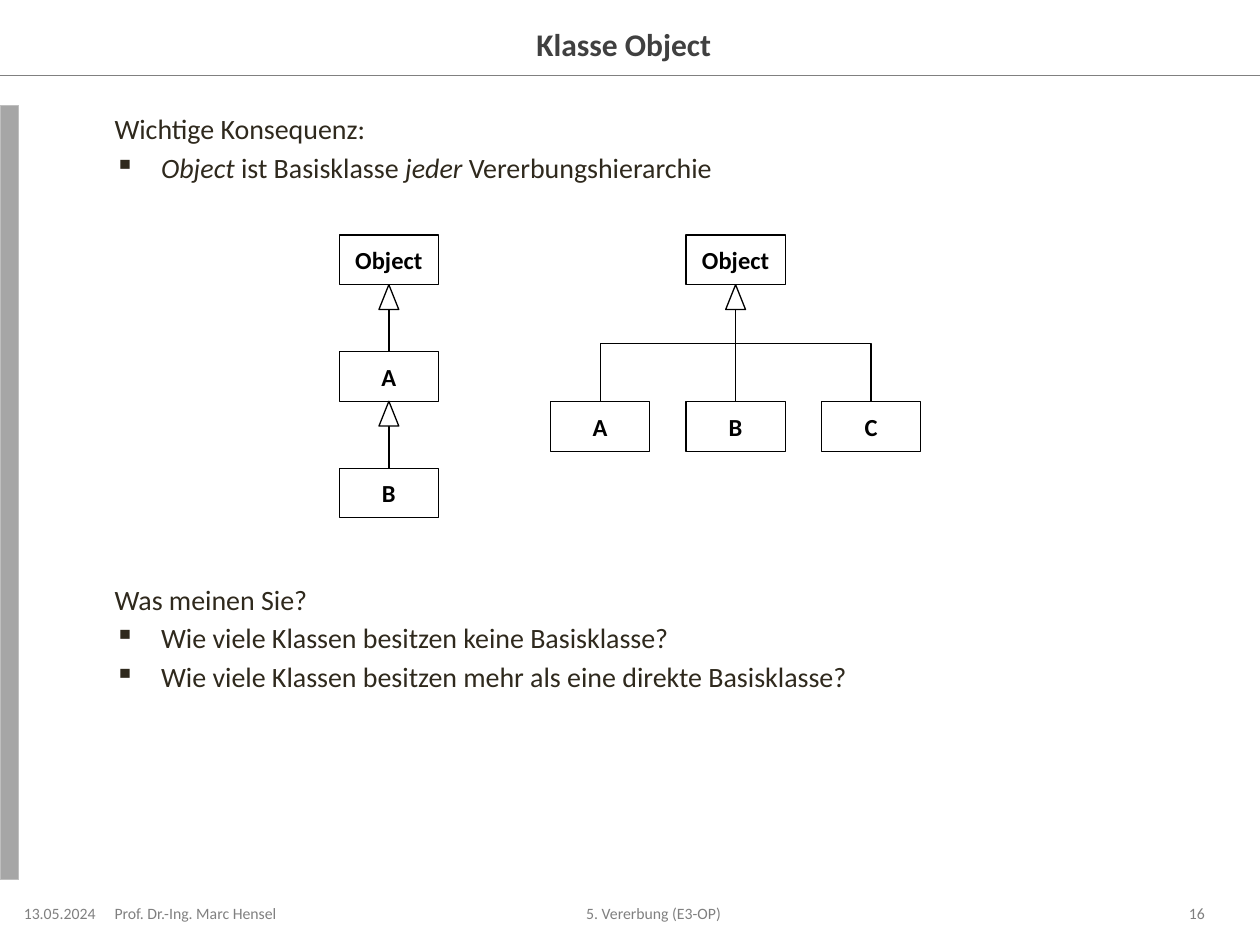
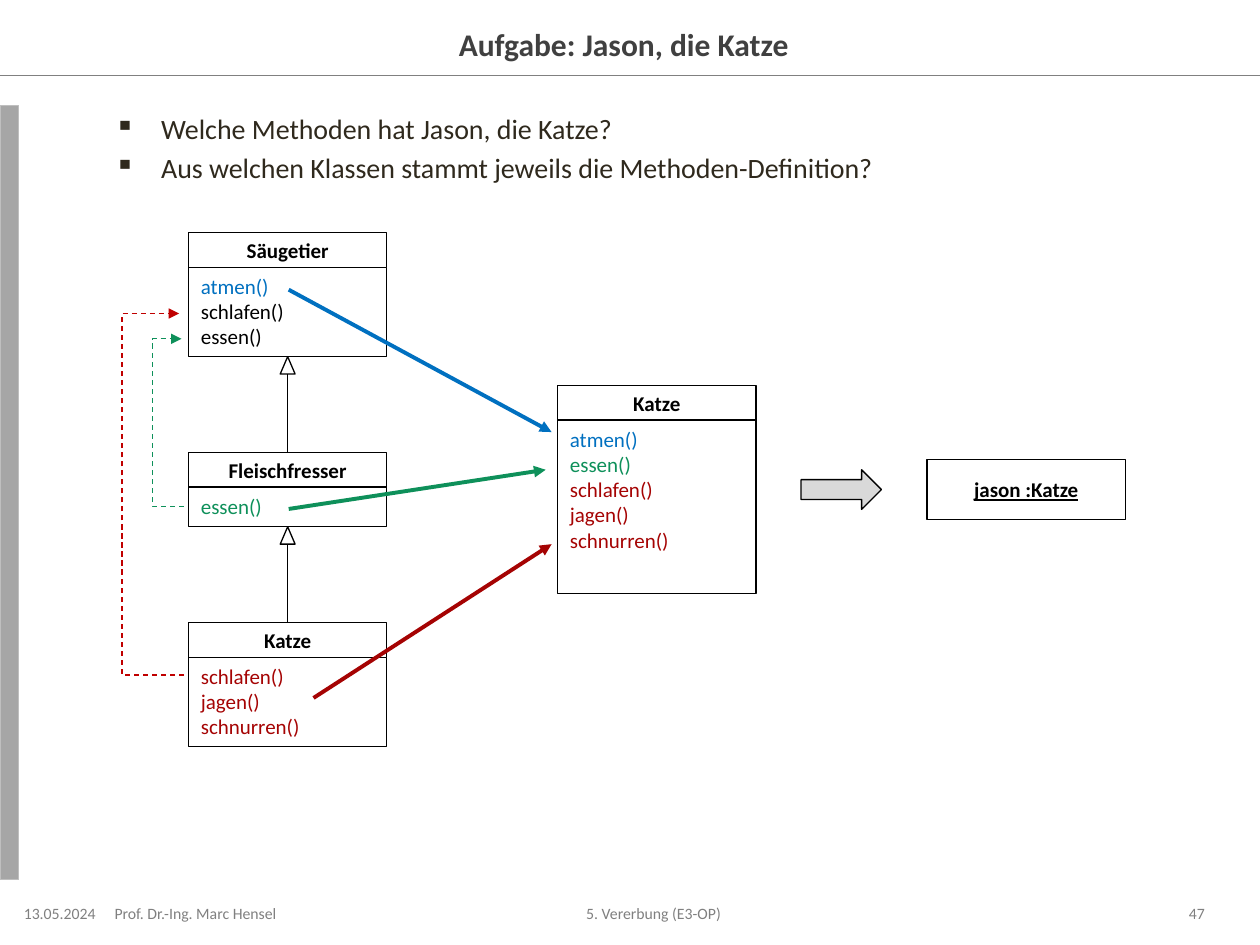
from dataclasses import dataclass

from lxml.etree import SubElement
from pptx import Presentation
from pptx.dml.color import RGBColor as Rgb
from pptx.enum.dml import MSO_LINE_DASH_STYLE as Dash
from pptx.enum.shapes import MSO_CONNECTOR as Link, MSO_SHAPE as Preset
from pptx.enum.text import MSO_ANCHOR as Anchor, PP_ALIGN as Align
from pptx.oxml.ns import qn
from pptx.util import Cm, Pt


@dataclass(frozen=True)
class Theme:
    font: str = "Calibri"
    title_size: int = 18
    body_size: int = 16
    node_size: int = 14
    class_size: int = 12
    footer_size: int = 9
    title: str = "404040"
    body: str = "2F291D"
    muted: str = "808080"
    bar: str = "A6A6A6"
    bar_edge: str = "BFBFBF"
    arrow: str = "D9D9D9"
    black: str = "000000"
    white: str = "FFFFFF"
    blue: str = "0070C0"
    green: str = "0E905A"
    red: str = "A50303"
    bright_red: str = "C00000"
    thin: float = 0.75
    thick: float = 2.25


@dataclass(frozen=True)
class Box:
    """Outer frame of a UML element, in centimetres."""
    left: float
    top: float
    width: float
    height: float

    @property
    def center(self):
        return self.left + self.width / 2

    @property
    def bottom(self):
        return self.top + self.height


THEME = Theme()
NODE_WIDTH, NODE_HEIGHT = 2, 1
CLASS_WIDTH, HEADER_HEIGHT = 4, 0.7
ELBOW_UP, ELBOW_BACK = 270, 180


class Deck:
    def __init__(self, theme):
        self.theme = theme
        self.presentation = Presentation()
        self.presentation.slide_width = Cm(25.4)
        self.presentation.slide_height = Cm(19.05)
        self.slide = None

    # Shared frame: title, rule, side bar and footer
    def new_slide(self, title, number):
        theme = self.theme
        self.slide = self.presentation.slides.add_slide(
            self.presentation.slide_layouts[6])
        self.line((0, 1.52), (25.4, 1.52), theme.muted)
        self.shape(Preset.RECTANGLE, Box(0, 2.13, 0.38, 15.6),
                   theme.bar, theme.bar_edge)
        self.text(Box(3.15, 0.38, 19.1, 1), [title], theme.title_size,
                  theme.title, Align.CENTER, Anchor.MIDDLE, bold=True)
        footers = (
            ("13.05.2024", 0.38, 1.9, Align.CENTER, (0, 0.25)),
            ("Prof. Dr.-Ing. Marc Hensel", 2.31, 3.81, Align.LEFT, (0, 0.25)),
            ("5. Vererbung (E3-OP)", 6.3, 14, Align.CENTER, (0, 0.25)),
            (number, 22.66, 1.63, Align.RIGHT, (0.25, 0)),
        )
        for words, left, width, align, insets in footers:
            self.text(Box(left, 18.23, width, 0.38), [words],
                      theme.footer_size, theme.muted, align, Anchor.MIDDLE,
                      insets=insets)

    # Text
    def set_lines(self, frame, lines, size, color, align=Align.LEFT,
                  bold=False, underline=None, space=0):
        """Fill a frame: "- " marks a bullet, *stars* mark italics,
        and a (text, color) pair overrides the colour."""
        frame.word_wrap = True
        for index, line in enumerate(lines):
            words, tint = line if isinstance(line, tuple) else (line, color)
            paragraph = frame.paragraphs[0] if index == 0 else frame.add_paragraph()
            if words.startswith("- "):
                words = words[2:]
                self.bullet(paragraph)
            paragraph.alignment = align
            paragraph.space_before = Pt(space if index else 0)
            font = paragraph.font
            font.name, font.size = self.theme.font, Pt(size)
            font.bold, font.underline = bold, underline
            font.color.rgb = Rgb.from_string(tint)
            for part, piece in enumerate(words.split("*")):
                if piece:
                    run = paragraph.add_run()
                    run.text = piece
                    if part % 2:
                        run.font.italic = True

    def bullet(self, paragraph):
        properties = paragraph._p.get_or_add_pPr()
        properties.set("marL", str(Cm(0.94)))
        properties.set("indent", str(-Cm(0.94)))
        SubElement(properties, qn("a:buChar")).set("char", "▪")

    def text(self, box, lines, size, color, align=Align.LEFT,
             anchor=Anchor.TOP, bold=False, space=0, insets=(0, 0.25)):
        frame = self.slide.shapes.add_textbox(
            Cm(box.left), Cm(box.top), Cm(box.width), Cm(box.height)).text_frame
        frame.margin_left, frame.margin_right = map(Cm, insets)
        frame.vertical_anchor = anchor
        self.set_lines(frame, lines, size, color, align, bold, space=space)

    def body(self, top, height, lines):
        self.text(Box(2.31, top, 22, height), lines, self.theme.body_size,
                  self.theme.body, space=3)

    # Shapes
    def shape(self, preset, box, fill=None, edge=None):
        shape = self.slide.shapes.add_shape(
            preset, Cm(box.left), Cm(box.top), Cm(box.width), Cm(box.height))
        shape.shadow.inherit = False
        shape.fill.solid()
        shape.fill.fore_color.rgb = Rgb.from_string(fill or self.theme.white)
        shape.line.color.rgb = Rgb.from_string(edge or self.theme.black)
        shape.line.width = Pt(self.theme.thin)
        return shape

    def label_box(self, box, words, size, underline=None):
        frame = self.shape(Preset.RECTANGLE, box).text_frame
        frame.vertical_anchor = Anchor.MIDDLE
        self.set_lines(frame, [words], size, self.theme.black, Align.CENTER,
                       bold=True, underline=underline)
        return box

    def node(self, left, top, name):
        return self.label_box(Box(left, top, NODE_WIDTH, NODE_HEIGHT), name,
                              self.theme.node_size)

    def uml_class(self, left, top, name, methods, body_height):
        size = self.theme.class_size
        self.label_box(Box(left, top, CLASS_WIDTH, HEADER_HEIGHT), name, size)
        frame = self.shape(Preset.RECTANGLE, Box(
            left, top + HEADER_HEIGHT, CLASS_WIDTH, body_height)).text_frame
        frame.vertical_anchor = Anchor.TOP
        self.set_lines(frame, methods, size, self.theme.black)
        return Box(left, top, CLASS_WIDTH, HEADER_HEIGHT + body_height)

    # Lines and arrows
    def line(self, start, end, color=None, width=None, arrow=False,
             dashed=False, kind=Link.STRAIGHT):
        connector = self.slide.shapes.add_connector(
            kind, *(Cm(value) for value in (*start, *end)))
        connector.line.color.rgb = Rgb.from_string(color or self.theme.black)
        connector.line.width = Pt(width or self.theme.thin)
        if dashed:
            connector.line.dash_style = Dash.DASH
        properties = connector.element.spPr
        if arrow:
            SubElement(properties.find(qn("a:ln")),
                       qn("a:tailEnd")).set("type", "triangle")
        SubElement(properties, qn("a:effectLst"))
        return connector

    def turn(self, connector, degrees):
        transform = connector.element.spPr.find(qn("a:xfrm"))
        transform.set("rot", str(degrees * 60000))

    def elbow_up(self, start, end):
        """Elbow that leaves upwards: a lying elbow, turned about its centre."""
        middle_x, middle_y = (start[0] + end[0]) / 2, (start[1] + end[1]) / 2
        rise, run = (start[1] - end[1]) / 2, (end[0] - start[0]) / 2
        connector = self.line((middle_x - rise, middle_y - run),
                              (middle_x + rise, middle_y + run),
                              kind=Link.ELBOW)
        self.turn(connector, ELBOW_UP)

    def loop_left(self, start, end, via, color):
        """Dashed arrow that swings out to x = via and returns."""
        connector = self.line(end, start, color, arrow=True, dashed=True,
                              kind=Link.ELBOW)
        self.turn(connector, ELBOW_BACK)
        ratio = (start[0] - via) / (start[0] - end[0])
        geometry = connector.element.spPr.find(qn("a:prstGeom"))
        values = geometry.find(qn("a:avLst"))
        if values is None:
            values = SubElement(geometry, qn("a:avLst"))
        guide = SubElement(values, qn("a:gd"))
        guide.set("name", "adj1")
        guide.set("fmla", f"val {round(ratio * 100000)}")

    def inherit(self, parent, children, head_width, head_height):
        tip = (parent.center, parent.bottom)
        for child in children:
            start = (child.center, child.top)
            if abs(child.center - parent.center) < 0.01:
                self.line(start, tip)
            else:
                self.elbow_up(start, tip)
        self.shape(Preset.ISOSCELES_TRIANGLE, Box(
            tip[0] - head_width / 2, tip[1], head_width, head_height))


def build_object_slide(deck):
    deck.new_slide("Klasse Object", "16")
    deck.body(2.13, 2, ["Wichtige Konsequenz:",
                        "- *Object* ist Basisklasse *jeder* Vererbungshierarchie"])
    deck.body(11.61, 3, [
        "Was meinen Sie?",
        "- Wie viele Klassen besitzen keine Basisklasse?",
        "- Wie viele Klassen besitzen mehr als eine direkte Basisklasse?"])

    # Chain of classes
    top = 4.74
    chain = [deck.node(6.84, top + row * 2.35, name)
             for row, name in enumerate(("Object", "A", "B"))]
    for parent, child in zip(chain, chain[1:]):
        deck.inherit(parent, [child], 0.4, 0.5)

    # Tree with three subclasses
    left, step = 11.1, 2.73
    root = deck.node(left + step, top, "Object")
    leaves = [deck.node(left + column * step, 8.1, name)
              for column, name in enumerate("ABC")]
    deck.inherit(root, leaves, 0.4, 0.5)


def build_cat_slide(deck):
    theme = deck.theme
    deck.new_slide("Aufgabe: Jason, die Katze", "47")
    deck.body(2.13, 2, [
        "- Welche Methoden hat Jason, die Katze?",
        "- Aus welchen Klassen stammt jeweils die Methoden-Definition?"])

    # Inheritance chain on the left
    breathe, eat = ("atmen()", theme.blue), ("essen()", theme.green)
    cat_methods = [(name, theme.red)
                   for name in ("schlafen()", "jagen()", "schnurren()")]
    hierarchy = (
        ("Säugetier", [breathe, "schlafen()", "essen()"], 1.8),
        ("Fleischfresser", [eat], 0.8),
        ("Katze", cat_methods, 1.8),
    )
    top, parent = 4.69, None
    for name, methods, height in hierarchy:
        box = deck.uml_class(3.8, top, name, methods, height)
        if parent:
            deck.inherit(parent, [box], 0.3, 0.35)
        parent, top = box, box.bottom + 1.93

    # Resulting class and its object
    deck.uml_class(11.24, 7.77, "Katze", [breathe, eat, *cat_methods], 3.5)
    deck.label_box(Box(18.69, 9.27, CLASS_WIDTH, 1.2), "jason :Katze",
                   theme.class_size, underline=True)
    deck.shape(Preset.RIGHT_ARROW, Box(16.15, 9.47, 1.62, 0.8), theme.arrow)

    # Origin of each method
    for start, end, color in (
            ((6.32, 14.07), (11.12, 10.97), theme.red),
            ((5.82, 10.26), (11, 9.47), theme.green),
            ((5.82, 5.84), (11.12, 8.71), theme.blue)):
        deck.line(start, end, color, theme.thick, arrow=True)

    # Overridden methods
    deck.loop_left((3.71, 10.21), (3.66, 6.83), 3.07, theme.green)
    deck.loop_left((3.71, 13.61), (3.61, 6.32), 2.46, theme.bright_red)


def main():
    deck = Deck(THEME)
    build_object_slide(deck)
    build_cat_slide(deck)
    deck.presentation.save("out.pptx")


if __name__ == "__main__":
    main()
